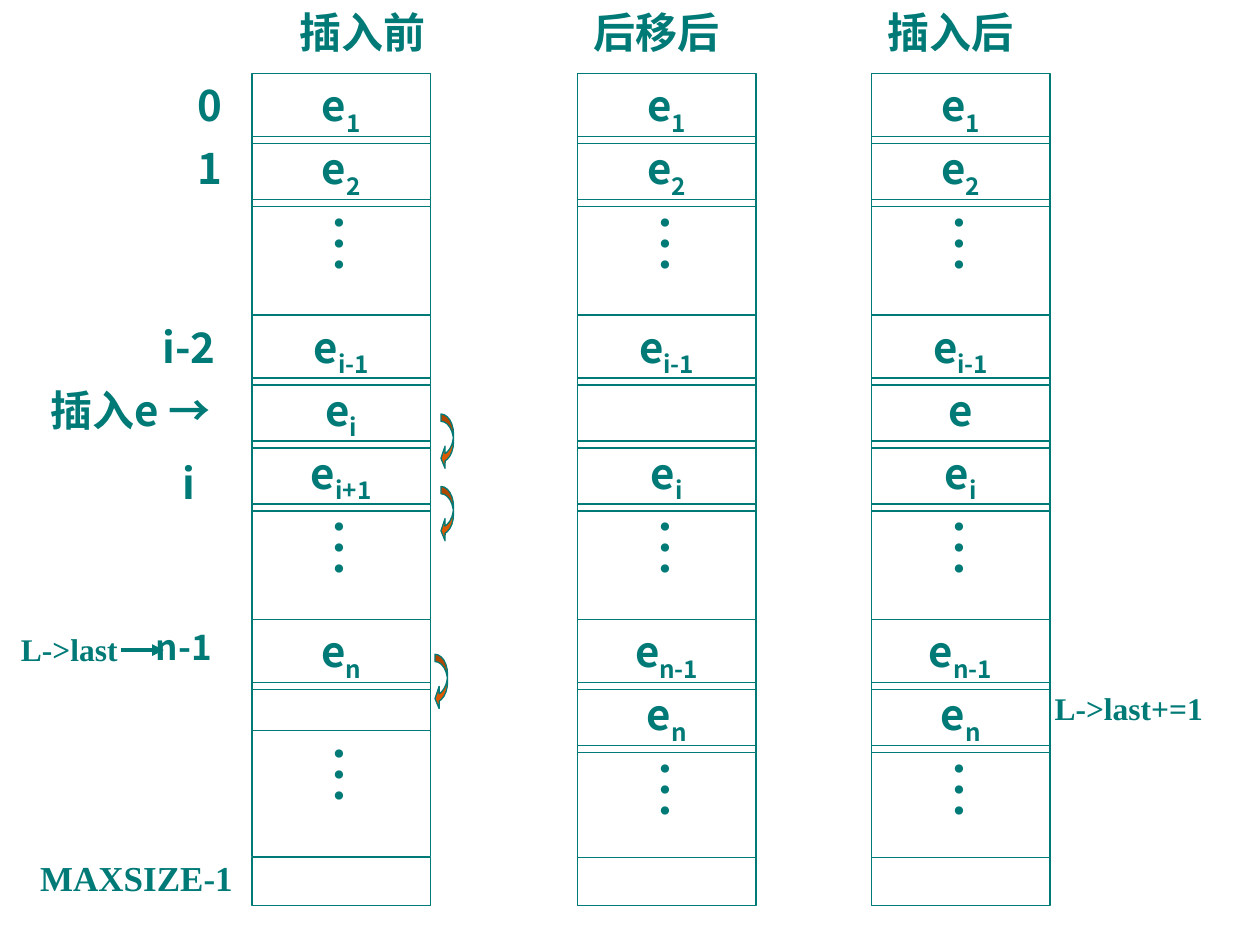
from lxml import etree
from pptx import Presentation
from pptx.dml.color import RGBColor
from pptx.enum.shapes import MSO_CONNECTOR as Connector, MSO_SHAPE as Shape
from pptx.enum.text import MSO_ANCHOR as Anchor, MSO_AUTO_SIZE as AutoSize, PP_ALIGN as Align
from pptx.oxml.ns import qn
from pptx.util import Pt

TEAL = RGBColor(0x00, 0x7A, 0x77)
ORANGE = RGBColor(0xDC, 0x59, 0x00)
SANS, SERIF = "Noto Sans CJK JP", "Times New Roman"

CELL_WIDTH, CELL_HEIGHT = 102, 40
DOTS = "…"

# Rows shared by all columns: top and height
ROWS = [(42, 40), (78, 40), (114, 66), (180, 40), (216, 40), (252, 40), (288, 66), (354, 40)]
BEFORE_END = [(390, 27.5), (417.6, 72), (490, 27.5)]
AFTER_END = [(390, 40), (426, 64), (490, 27.5)]

# Title, title left, column left, last rows, cells as (base, subscript)
COLUMNS = [
    ("插入前", 162, 144, BEFORE_END,
     ["e_1", "e_2", DOTS, "e_i-1", "e_i", "e_i+1", DOTS, "e_n", "", DOTS, ""]),
    ("后移后", 330, 330, AFTER_END,
     ["e_1", "e_2", DOTS, "e_i-1", "", "e_i", DOTS, "e_n-1", "e_n", DOTS, ""]),
    ("插入后", 498, 498, AFTER_END,
     ["e_1", "e_2", DOTS, "e_i-1", "e", "e_i", DOTS, "e_n-1", "e_n", DOTS, ""]),
]

# Text, left, top, width, size, font
INDEX_LABELS = [
    ("0", 96, 42, 48, 24, SANS),
    ("1", 96, 78, 48, 24, SANS),
    ("i-2", 84, 180, 48, 24, SANS),
    ("插入e →", 18, 216, 113, 24, SANS),
    ("i", 84, 258, 48, 24, SANS),
    ("n-1", 72, 354, 66, 20, SANS),
    ("MAXSIZE-1", 12, 486, 132, 20, SERIF),
]


def write(shape, text, size=24, font=SANS, bold=True, align=Align.CENTER,
          side=7.2, edge=3.6, anchor=Anchor.TOP, fit=True):
    """Fill a shape with one line; the part after "_" becomes a subscript."""
    frame = shape.text_frame
    frame.word_wrap = True
    frame.auto_size = AutoSize.SHAPE_TO_FIT_TEXT if fit else AutoSize.NONE
    frame.vertical_anchor = anchor
    frame.margin_left = frame.margin_right = Pt(side)
    frame.margin_top = frame.margin_bottom = Pt(edge)
    para = frame.paragraphs[0]
    para.alignment = align
    for index, part in enumerate(text.split("_")):
        span = para.add_run()
        span.text = part
        span.font.size, span.font.bold, span.font.name = Pt(size), bold, font
        span.font.color.rgb = TEAL
        properties = span._r.get_or_add_rPr()
        etree.SubElement(properties, qn("a:ea")).set("typeface", font)
        if index:
            properties.set("baseline", "-25000")


def add_label(parent, text, left, top, width, height=36, **form):
    box = parent.shapes.add_textbox(Pt(left), Pt(top), Pt(width), Pt(height))
    write(box, text, **form)


def add_cell(parent, text, left, top, height):
    cell = parent.shapes.add_shape(Shape.RECTANGLE, Pt(left), Pt(top), Pt(CELL_WIDTH), Pt(height))
    cell.shadow.inherit = False
    cell.fill.background()
    cell.line.color.rgb = TEAL
    cell.line.width = Pt(0.75)
    if text == DOTS:
        write(cell, text, size=36, bold=False, side=3.6, edge=7.2, anchor=Anchor.MIDDLE, fit=False)
        cell.text_frame._txBody.bodyPr.set("vert", "eaVert")
    elif text:
        write(cell, text)


def add_column(page, title, title_left, left, end_rows, cells):
    group = page.shapes.add_group_shape()
    add_label(group, title, title_left, 0, 90)
    for text, (top, height) in zip(cells, ROWS + end_rows):
        add_cell(group, text, left, top, height)
    return group


def add_shift_arrow(page, left, top):
    arrow = page.shapes.add_shape(Shape.CURVED_LEFT_ARROW, Pt(left), Pt(top), Pt(7.2), Pt(31.7))
    arrow.shadow.inherit = False
    for index, value in enumerate((0.58, 1.76, 0.33)):
        arrow.adjustments[index] = value
    arrow.fill.solid()
    arrow.fill.fore_color.rgb = ORANGE
    arrow.line.color.rgb = TEAL
    arrow.line.width = Pt(0.75)


def add_pointer(page, start, end, top):
    pointer = page.shapes.add_connector(Connector.STRAIGHT, Pt(start), Pt(top), Pt(end), Pt(top))
    pointer.line.color.rgb = TEAL
    pointer.line.width = Pt(2.25)
    etree.SubElement(pointer.line._get_or_add_ln(), qn("a:tailEnd")).set("type", "triangle")
    etree.SubElement(pointer._element.spPr, qn("a:effectLst"))


def main():
    deck = Presentation()
    deck.slide_width, deck.slide_height = Pt(720), Pt(540)
    page = deck.slides.add_slide(deck.slide_layouts[6])

    # Three states of the list
    before, moved, after = [add_column(page, *column) for column in COLUMNS]

    # Index labels and the new end of the list
    for text, left, top, width, size, font in INDEX_LABELS:
        add_label(before, text, left, top, width, size=size, font=font)
    add_label(after, "L->last+=1", 600, 390, 90, 29, size=18, font=SERIF, side=0)

    # Elements moving down by one
    for left, top in [(252, 278), (252, 236.6), (248.6, 373.9)]:
        add_shift_arrow(page, left, top)

    # Pointer to the last element
    add_label(page, "L->last", 12, 356.4, 65.5, 29, size=18, font=SERIF, side=0, align=Align.LEFT)
    add_pointer(page, 69, 93.6, 371.5)

    deck.save("out.pptx")


if __name__ == "__main__":
    main()
